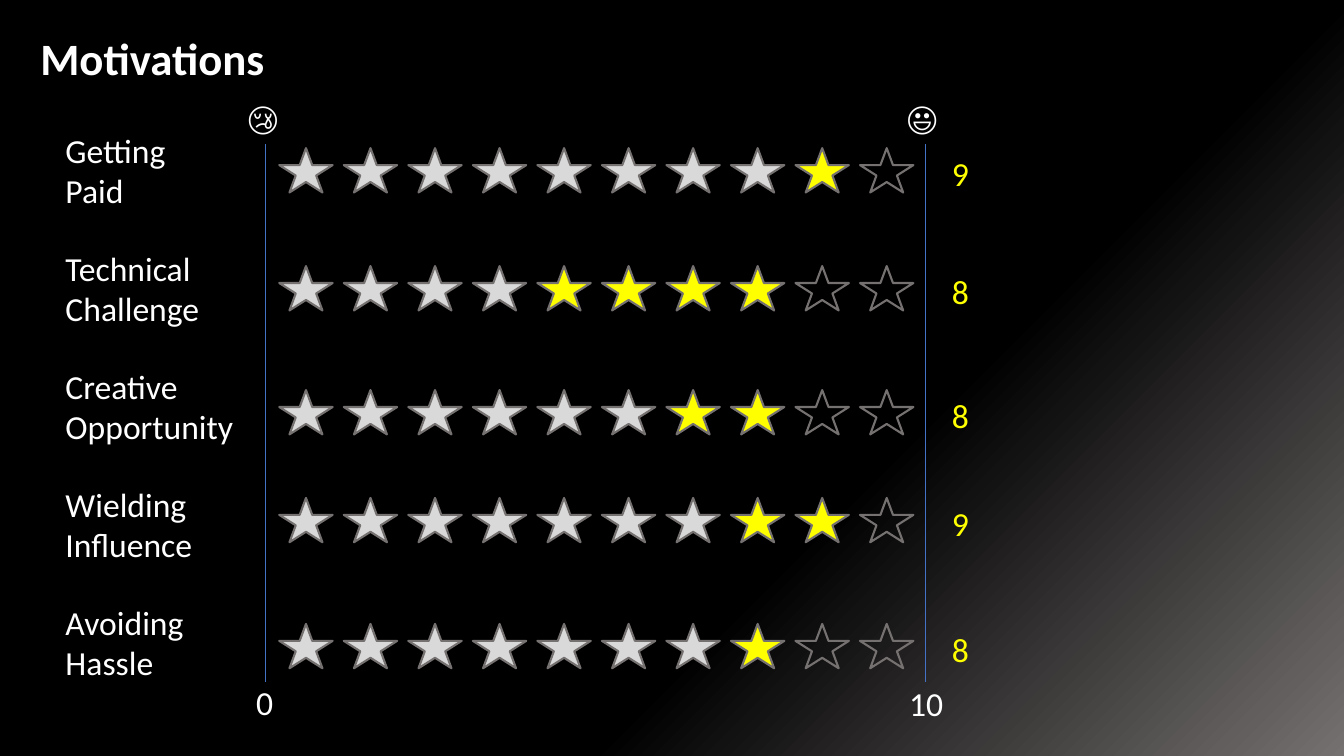
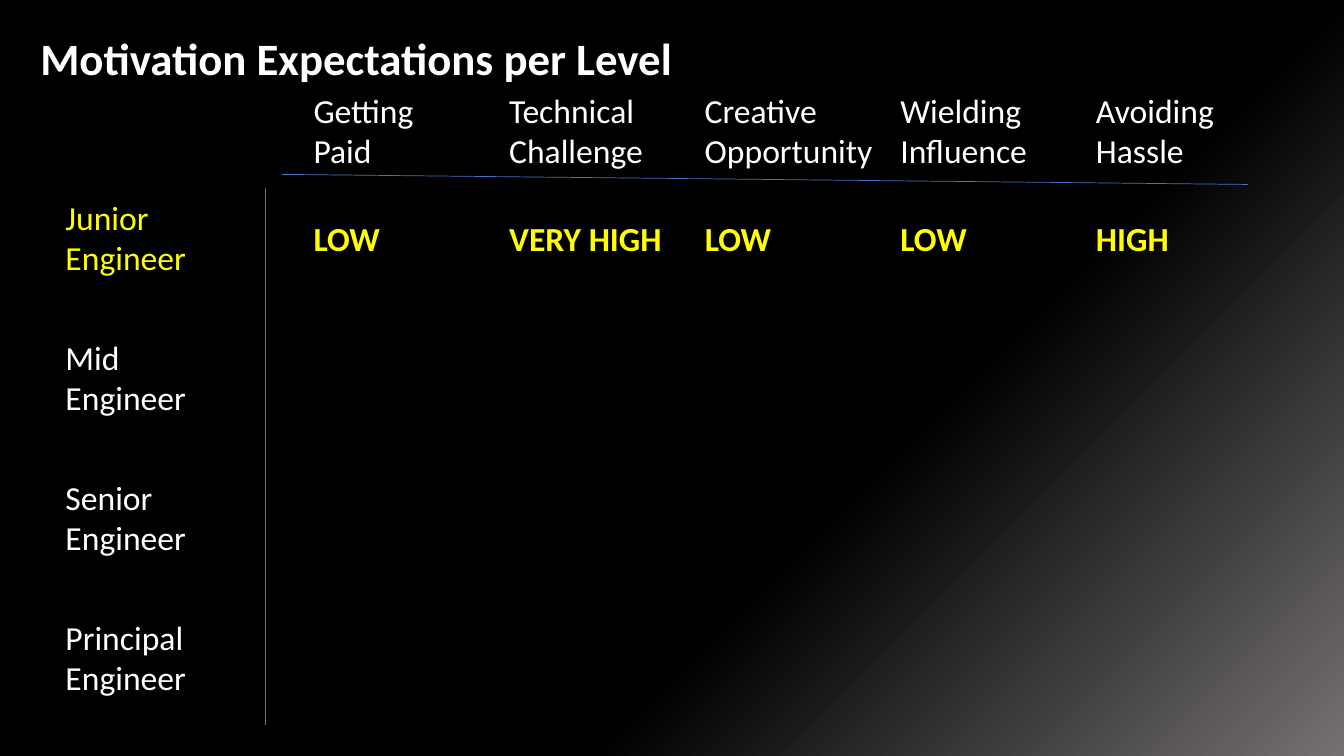
import pptx
import pptx.dml.color
import pptx.enum.shapes
import pptx.enum.text
import pptx.oxml.xmlchemy
import pptx.util

Inches = pptx.util.Inches
Pt = pptx.util.Pt
Align = pptx.enum.text.PP_ALIGN

WHITE, YELLOW, BLACK = "FFFFFF", "FFFF00", "000000"
SILVER, GRAY, BLUE = "D9D9D9", "767171", "4472C4"

MOTIVATIONS = [
    "Getting\nPaid",
    "Technical\nChallenge",
    "Creative\nOpportunity",
    "Wielding\nInfluence",
    "Avoiding\nHassle",
]
LEVELS = ["Junior\nEngineer", "Mid\nEngineer", "Senior\nEngineer", "Principal\nEngineer"]
JUNIOR_EXPECTATIONS = ["LOW", "VERY HIGH", "LOW", "LOW", "HIGH"]
STAR_ROWS = [(1.47, 8, 9), (2.64, 4, 8), (3.87, 6, 8), (4.94, 7, 9), (6.19, 7, 8)]
STAR_COUNT = 10

LABEL_LEFT, LABEL_WIDTH, LABEL_HEIGHT = 0.65, 2.14, 0.81
MARK_WIDTH, LINE_HEIGHT = 0.35, 0.4
AXIS_LEFT, AXIS_RIGHT = 2.63, 9.18


def color(value):
    return pptx.dml.color.RGBColor.from_string(value)


class Deck:
    """Holds the shared style and the slide being built."""

    font_name = "Calibri"

    def __init__(self):
        self.presentation = pptx.Presentation()
        self.presentation.slide_width = Inches(13.33)
        self.presentation.slide_height = Inches(7.5)
        self.slide = None

    def add_slide(self, title, title_height):
        self.slide = self.presentation.slides.add_slide(self.presentation.slide_layouts[6])
        fill = self.slide.background.fill
        fill.gradient()
        fill.gradient_angle = 315
        for stop, position, value in zip(fill.gradient_stops, (0.64, 1), (BLACK, GRAY)):
            stop.position = position
            stop.color.rgb = color(value)
        self.text(title, 0, 0, 13.33, title_height, size=32, bold=True,
                  insets=(0.4, 0.3, 0.1, 0.05))

    def text(self, text, left, top, width, height, value=WHITE, size=24, bold=False,
             align=Align.LEFT, insets=(0, 0, 0, 0)):
        box = self.slide.shapes.add_textbox(
            Inches(left), Inches(top), Inches(width), Inches(height))
        frame = box.text_frame
        frame.word_wrap = True
        frame.margin_left, frame.margin_top, frame.margin_right, frame.margin_bottom = (
            Inches(inset) for inset in insets)
        paragraph = frame.paragraphs[0]
        paragraph.alignment = align
        for index, line in enumerate(text.split("\n")):
            if index:
                paragraph.add_line_break()
            run = paragraph.add_run()
            run.text = line
            run.font.name = self.font_name
            run.font.size = Pt(size)
            run.font.bold = bold
            run.font.color.rgb = color(value)

    def label(self, text, left, top, value=WHITE):
        self.text(text, left, top, LABEL_WIDTH, LABEL_HEIGHT, value)

    def mark(self, text, left, top, value=WHITE, align=Align.LEFT):
        self.text(text, left, top, MARK_WIDTH, LINE_HEIGHT, value, align=align)

    def star(self, left, top, value):
        shape = self.slide.shapes.add_shape(
            pptx.enum.shapes.MSO_SHAPE.STAR_5_POINT,
            Inches(left), Inches(top), Inches(0.53), Inches(0.44))
        shape.shadow.inherit = False
        if value:
            shape.fill.solid()
            shape.fill.fore_color.rgb = color(value)
        else:
            shape.fill.background()
        shape.line.color.rgb = color(GRAY)
        shape.line.width = Pt(1.5)

    def line(self, start_x, start_y, end_x, end_y):
        connector = self.slide.shapes.add_connector(
            pptx.enum.shapes.MSO_CONNECTOR.STRAIGHT,
            Inches(start_x), Inches(start_y), Inches(end_x), Inches(end_y))
        connector.line.color.rgb = color(BLUE)
        connector.line.width = Pt(0.5)
        properties = connector._element.spPr
        properties.append(pptx.oxml.xmlchemy.OxmlElement("a:effectLst"))


def build_ratings(deck):
    deck.add_slide("Motivations", 1.16)
    for index, motivation in enumerate(MOTIVATIONS):
        deck.label(motivation, LABEL_LEFT, 1.29 + index * 1.17)
    for top, low, high in STAR_ROWS:
        for index in range(STAR_COUNT):
            value = SILVER if index < low else YELLOW if index < high else None
            deck.star(2.77 + index * 0.64, top, value)
        deck.mark(str(high), 9.44, top + 0.05, YELLOW)
    deck.mark("0", 2.45, 6.77, align=Align.CENTER)
    deck.mark("10", 9.01, 6.78, align=Align.CENTER)
    for axis, face, face_left in ((AXIS_LEFT, "😢", 2.41), (AXIS_RIGHT, "😃", 8.95)):
        deck.line(axis, 1.43, axis, 6.77)
        deck.mark(face, face_left, 0.96, align=Align.RIGHT)


def build_expectations(deck):
    deck.add_slide("Motivation Expectations per Level", 0.86)
    for index, level in enumerate(LEVELS):
        deck.label(level, LABEL_LEFT, 1.95 + index * 1.39, WHITE if index else YELLOW)
    deck.line(AXIS_LEFT, 1.87, AXIS_LEFT, 7.19)
    deck.line(2.79, 1.73, 12.38, 1.83)
    for index, (motivation, expectation) in enumerate(zip(MOTIVATIONS, JUNIOR_EXPECTATIONS)):
        left = 3.11 + index * 1.94
        deck.label(motivation, left, 0.89)
        deck.text(expectation, left, 2.16, 1.69, LINE_HEIGHT, YELLOW, bold=True)


def main():
    deck = Deck()
    build_ratings(deck)
    build_expectations(deck)
    deck.presentation.save("out.pptx")


if __name__ == "__main__":
    main()
